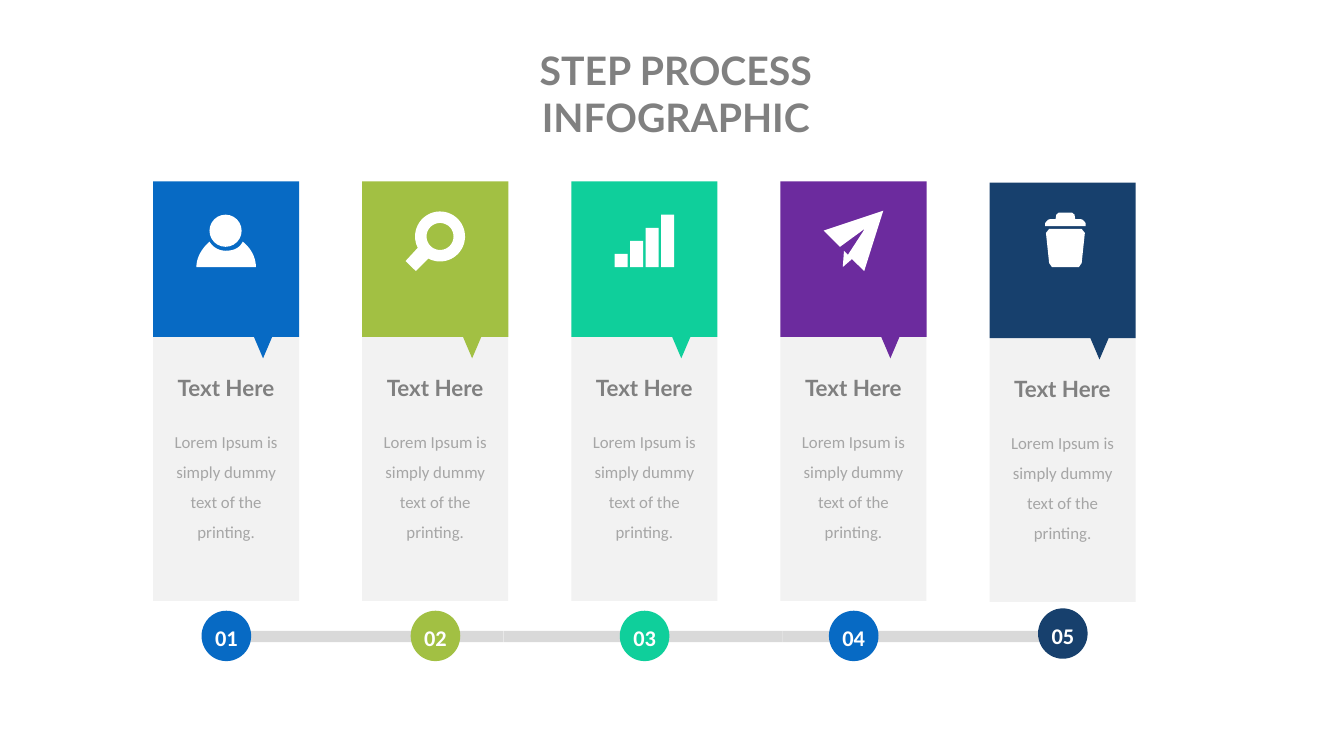
"""Build a five step process infographic slide."""
import math

from pptx import Presentation
from pptx import util as u
from pptx.dml.color import RGBColor
from pptx.enum import shapes, text

HUES = {
    "blue": "076AC4", "lime": "A2C043", "mint": "0FCF9B",
    "plum": "6C2B9E", "navy": "17406D", "white": "FFFFFF",
    "panel": "F2F2F2", "track": "D9D9D9", "head": "808080", "body": "A6A6A6",
}
RECT, OVAL = shapes.MSO_SHAPE.RECTANGLE, shapes.MSO_SHAPE.OVAL


def arc(x, y, r, start, end, count=48):
    """Return points along a circular arc, with angles in degrees."""
    turns = [math.radians(start + (end - start) * i / count) for i in range(count + 1)]
    return [(x + r * math.cos(t), y + r * math.sin(t)) for t in turns]


def curve(a, b, c, d, count=10):
    """Return points along a cubic curve."""
    points = []
    for i in range(count + 1):
        t = i / count
        parts = ((1 - t) ** 3, 3 * t * (1 - t) ** 2, 3 * t * t * (1 - t), t ** 3)
        points.append(tuple(sum(k * p[n] for k, p in zip(parts, (a, b, c, d)))
                            for n in (0, 1)))
    return points


class Deck:
    """Hold the style and the current slide; lengths are in centimetres."""

    def __init__(self, wide, high):
        self.show = Presentation()
        self.show.slide_width, self.show.slide_height = u.Cm(wide), u.Cm(high)
        self.slide = self.show.slides.add_slide(self.show.slide_layouts[6])

    def paint(self, shape, hue):
        """Give a shape a flat fill without line or shadow."""
        shape.shadow.inherit = False
        shape.fill.solid()
        shape.fill.fore_color.rgb = RGBColor.from_string(HUES[hue])
        shape.line.fill.background()

    def form(self, kind, box, hue):
        """Add a preset shape."""
        self.paint(self.slide.shapes.add_shape(kind, *map(u.Cm, box)), hue)

    def free(self, x, y, hue, *rings):
        """Add an outline whose rings are measured from x, y."""
        rings = [[(u.Cm(x + a), u.Cm(y + b)) for a, b in ring] for ring in rings]
        build = self.slide.shapes.build_freeform(*rings[0][0], scale=1.0)
        build.add_line_segments(rings[0][1:], close=True)
        for ring in rings[1:]:
            build.move_to(*ring[0])
            build.add_line_segments(ring[1:], close=True)
        self.paint(build.convert_to_shape(), hue)

    def label(self, box, words, size, hue, font="Lato", bold=True, space=None):
        """Add a centred text box."""
        frame = self.slide.shapes.add_textbox(*map(u.Cm, box)).text_frame
        frame.word_wrap = True
        frame.margin_left = frame.margin_right = 0
        line = frame.paragraphs[0]
        line.alignment = text.PP_ALIGN.CENTER
        if space:
            line.line_spacing = space
        run = line.add_run()
        run.text = words
        run.font.name, run.font.size, run.font.bold = font, u.Pt(size), bold
        run.font.color.rgb = RGBColor.from_string(HUES[hue])


def user(deck, x, y):
    """Draw a person."""
    deck.form(OVAL, (x + 1.42, y + 0.84, 0.81, 0.81), "white")
    deck.free(x, y, "white",
              curve((2.26, 1.52), (2.18, 1.68), (2.03, 1.75), (1.83, 1.75))
              + curve((1.83, 1.75), (1.68, 1.75), (1.52, 1.68), (1.42, 1.52))
              + curve((1.42, 1.52), (1.24, 1.68), (1.09, 1.91), (1.09, 2.16))
              + curve((2.59, 2.16), (2.59, 1.91), (2.46, 1.68), (2.26, 1.52)))


def lens(deck, x, y):
    """Draw a magnifier."""
    rim = arc(1.96, 1.39, 0.63, 153, 478)
    deck.free(x, y, "white", rim + [(1.35, 2.26), (1.09, 2.01)],
              arc(1.96, 1.39, 0.34, 360, 0))


def bars(deck, x, y):
    """Draw four rising bars."""
    for i in range(4):
        high = 0.33 * (i + 1)
        deck.form(RECT, (x + 1.09 + 0.39 * i, y + 2.16 - high, 0.33, high), "white")


def plane(deck, x, y):
    """Draw a paper plane."""
    deck.free(x, y, "white", [
        (2.59, 0.74), (1.09, 1.24), (1.5, 1.65), (2.13, 1.19), (1.7, 1.85),
        (1.6, 1.75), (1.57, 2.16), (1.8, 1.96), (2.11, 2.26)])


def trash(deck, x, y):
    """Draw a waste bin from mirrored halves."""
    mid = 1.91
    halves = (
        [(0.51, 1.1), (0.51, 1.02), (0.44, 0.94), (0.38, 0.92)],
        [(0.21, 1.07), (0.26, 0.99), (0.23, 0.81), (0.17, 0.76)],
        [(0.34, 2.13), (0.41, 2.03), (0.49, 1.27), (0.41, 1.17)],
    )
    for half in halves:
        deck.free(x, y, "white", [(mid - a, b) for a, b in half]
                  + [(mid + a, b) for a, b in reversed(half)])


STEPS = (
    ("blue", "blue", user, 0, 0),
    ("lime", "lime", lens, 0, 0),
    ("mint", "mint", bars, 0, 0),
    ("plum", "blue", plane, 0, 0),
    ("navy", "navy", trash, 0.03, 0.06),
)
LEFT, TOP, STEP, WIDE, FLAP = 3.86, 4.57, 5.27, 3.68, 3.92

deck = Deck(33.87, 19.05)
deck.label((10.31, 1.04, 13.44, 2.6), "STEP PROCESS INFOGRAPHIC", 28, "head")
for i in range(3):
    deck.form(RECT, (5.66 + 7.03 * i, 15.9, 7.03, 0.28), "track")

for i, (hue, dot, icon, drop, lift) in enumerate(STEPS):
    x, y = LEFT + STEP * i, TOP + drop
    deck.form(RECT, (x, y + FLAP, WIDE, 6.65), "panel")
    deck.free(x, y, hue, [(0, 0), (0, FLAP), (2.54, FLAP), (2.77, 4.46),
                          (3, FLAP), (WIDE, FLAP), (WIDE, 0)])
    icon(deck, x, y)
    deck.label((x + 0.36, y + 4.73, 2.95, 0.94), "Text Here", 16, "head")
    deck.label((x + 0.33, y + 5.92, 3.02, 3.1),
               "Lorem Ipsum\u00a0is simply dummy text of the printing.",
               12, "body", "Calibri", False, 1.5)
    deck.form(OVAL, (x + 1.22, 15.39 - lift, 1.25, 1.27), dot)
    deck.label((x + 1.26, 15.6 - lift, 1.17, 0.86), f"{i + 1:02}", 16, "white", "Calibri")

deck.show.save("out.pptx")
